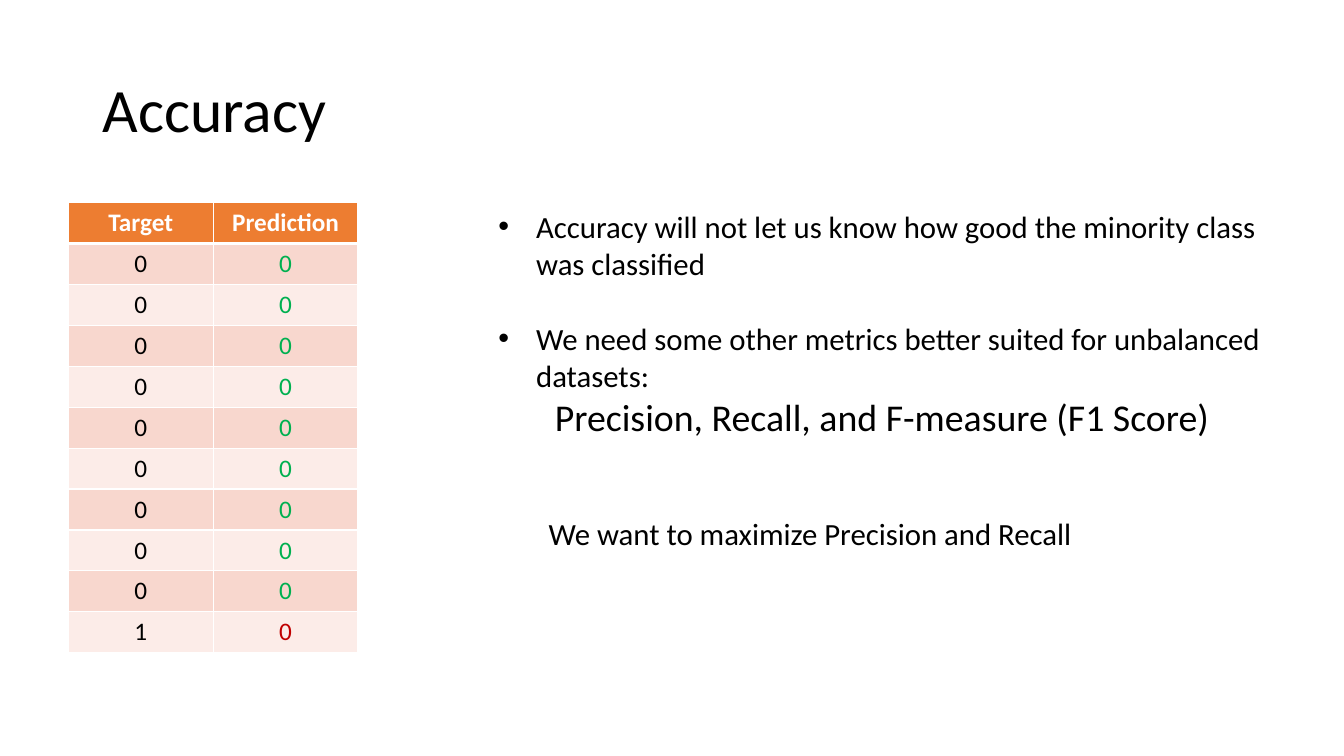
from dataclasses import dataclass

from lxml.etree import SubElement as Sub
from pptx import Presentation
from pptx.dml.color import RGBColor as Rgb
from pptx.enum.text import MSO_ANCHOR as Anchor, MSO_AUTO_SIZE as Fit, PP_ALIGN as Align
from pptx.oxml.ns import qn
from pptx.util import Pt

PX = 9525  # EMU per px, 96 px to the inch
WHITE, BLACK, ORANGE = "FFFFFF", "000000", "ED7D31"
GREEN, RED = "00B050", "C00000"
BANDS = ("F8D7CE", "FCECE8")


@dataclass
class Line:
    text: str
    size: int = 22
    gap: int = 0
    align: Align = Align.LEFT
    bullet: bool = False
    level: int = 0
    left: int = 0


LINES = [
    Line("Accuracy will not let us know how good the minority class was classified",
         bullet=True, left=36),
    Line("We need some other metrics better suited for unbalanced datasets:",
         gap=27, bullet=True, left=36),
    Line("Precision, Recall, and F-measure (F1 Score)", size=27, align=Align.CENTER),
    Line("We want to maximize Precision and Recall", gap=54, level=1, left=48),
]
ROWS = [("0", "0", GREEN)] * 9 + [("1", "0", RED)]


def color(code: str) -> Rgb:
    return Rgb.from_string(code)


def place(shape, x: int, y: int, w: int, h: int) -> None:
    shape.left, shape.top, shape.width, shape.height = (n * PX for n in (x, y, w, h))


def write(para, text: str, *, size: int, ink: str = BLACK, bold: bool = False,
          align: Align = Align.LEFT, space: float = 1.0, gap: int = 0) -> None:
    para.alignment = align
    para.line_spacing = space
    para.space_before = Pt(gap)
    run = para.add_run()
    run.text = text
    font = run.font
    font.name, font.size, font.bold = "Calibri", Pt(size), bold
    font.color.rgb = color(ink)


def indent(para, line: Line) -> None:
    props = para._p.get_or_add_pPr()
    props.set("marL", str(line.left * PX))
    props.set("indent", str(-line.left * PX if line.bullet else 0))
    if line.bullet:
        Sub(props, qn("a:buFont"), typeface="Arial")
        Sub(props, qn("a:buChar"), char="•")
    else:
        Sub(props, qn("a:buNone"))


def edge(cell, top: int, base: int) -> None:
    props = cell._tc.get_or_add_tcPr()
    for side, width in (("L", 1), ("R", 1), ("T", top), ("B", base)):
        line = Sub(props, qn(f"a:ln{side}"), w=str(Pt(width)))
        Sub(Sub(line, qn("a:solidFill")), qn("a:srgbClr"), val=WHITE)


def paint(cell, text: str, row: int, ink: str) -> None:
    head = row == 0
    edge(cell, top=3 if row == 1 else 1, base=3 if head else 1)
    cell.fill.solid()
    cell.fill.fore_color.rgb = color(ORANGE if head else BANDS[(row - 1) % 2])
    write(cell.text_frame.paragraphs[0], text, size=18, ink=ink, bold=head,
          align=Align.CENTER)


def main() -> None:
    deck = Presentation()
    deck.slide_width, deck.slide_height = 1280 * PX, 720 * PX
    slide = deck.slides.add_slide(deck.slide_layouts[1])

    # Title
    title = slide.shapes.title
    place(title, 88, 38, 1104, 139)
    title.text_frame.vertical_anchor = Anchor.MIDDLE
    write(title.text_frame.paragraphs[0], "Accuracy", size=44, space=0.9)

    # Target and prediction table
    frame = slide.shapes.add_table(len(ROWS) + 1, 2, 65 * PX, 193 * PX, 276 * PX, 429 * PX)
    table = frame.table
    table.horz_banding = False
    for row in table.rows:
        row.height = 39 * PX
    for col, name in enumerate(("Target", "Prediction")):
        paint(table.cell(0, col), name, 0, WHITE)
    for row, (target, guess, ink) in enumerate(ROWS, 1):
        paint(table.cell(row, 0), target, row, BLACK)
        paint(table.cell(row, 1), guess, row, ink)

    # Remarks
    body = slide.placeholders[1]
    place(body, 465, 193, 750, 396)
    text = body.text_frame
    text.auto_size = Fit.NONE
    text.vertical_anchor = Anchor.TOP
    for i, line in enumerate(LINES):
        para = text.add_paragraph() if i else text.paragraphs[0]
        para.level = line.level
        indent(para, line)
        write(para, line.text, size=line.size, align=line.align, gap=line.gap)

    deck.save("out.pptx")


if __name__ == "__main__":
    main()
